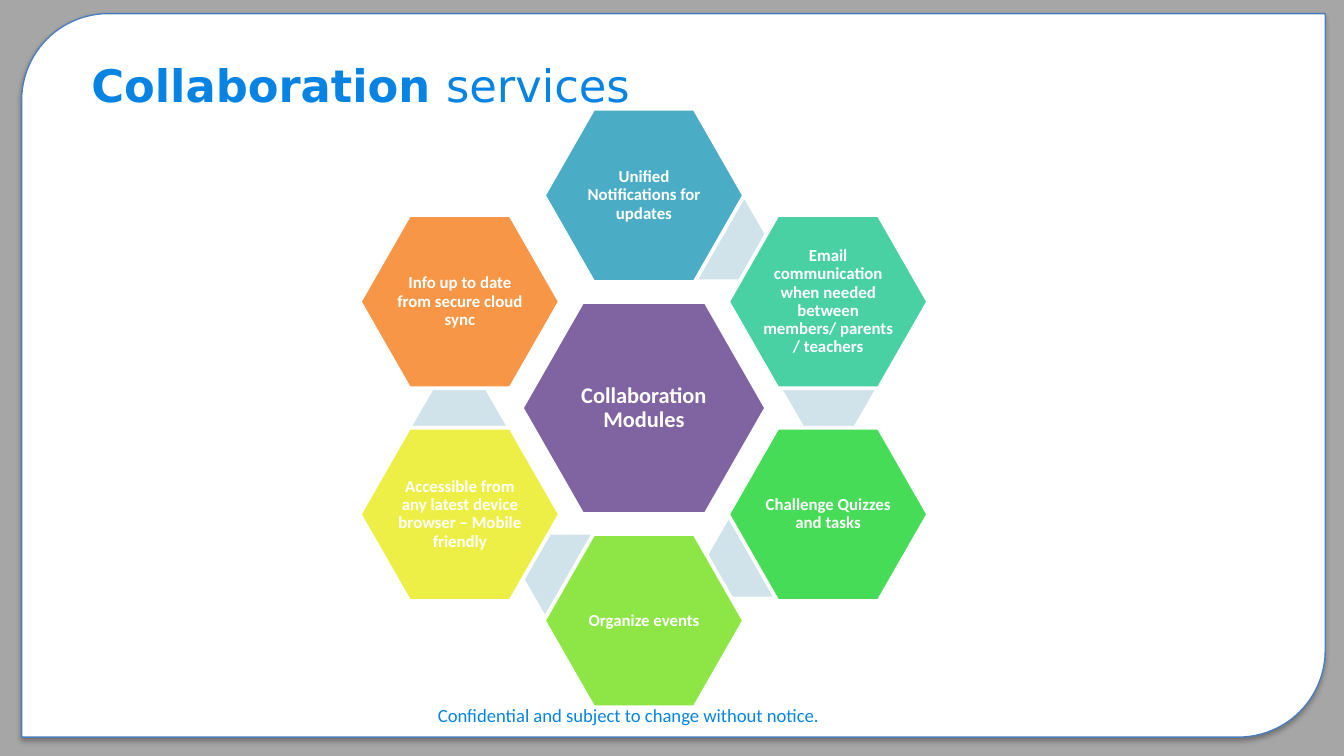
"""Builds the collaboration services slide with its ring of hexagons."""
from math import cos, radians, sin

from lxml.etree import SubElement
from pptx import Presentation
from pptx.dml.color import RGBColor
from pptx.enum.shapes import MSO_SHAPE
from pptx.enum.text import MSO_ANCHOR, PP_ALIGN
from pptx.oxml.ns import qn
from pptx.util import Pt

COLORS = {
    "backdrop": "A6A6A6", "white": "FFFFFF", "frame": "4B7EBC", "shadow": "000000",
    "accent": "0784E3", "link": "D0E3EA", "purple": "8064A2", "teal": "4BACC6",
    "mint": "49D1A3", "green": "47DC57", "lime": "8DE646", "yellow": "EEEF46",
    "orange": "F79646",
}


def rgb(color):
    return RGBColor.from_string(COLORS[color])


class Deck:
    body_font = "Calibri"
    title_font = "DejaVu Sans"

    def __init__(self, width, height):
        self.presentation = Presentation()
        self.presentation.slide_width = Pt(width)
        self.presentation.slide_height = Pt(height)
        self.slide = self.presentation.slides.add_slide(self.presentation.slide_layouts[6])
        fill = self.slide.background.fill
        fill.solid()
        fill.fore_color.rgb = rgb("backdrop")

    def shape(self, kind, left, top, width, height, fill, adjustment, line=None, weight=0):
        shape = self.slide.shapes.add_shape(kind, Pt(left), Pt(top), Pt(width), Pt(height))
        shape.shadow.inherit = False
        shape.adjustments[0] = adjustment
        shape.fill.solid()
        shape.fill.fore_color.rgb = rgb(fill)
        if line:
            shape.line.color.rgb = rgb(line)
            shape.line.width = Pt(weight)
        else:
            shape.line.fill.background()
        return shape

    def panel(self, left, top, width, height):
        panel = self.shape(MSO_SHAPE.ROUND_2_DIAG_RECTANGLE, left, top, width, height,
                           "white", 0.12, "frame", 0.75)
        effects = panel._element.spPr.find(qn("a:effectLst"))
        shadow = SubElement(effects, qn("a:outerShdw"), blurRad=str(Pt(3.1)),
                            dist=str(Pt(1.8)), dir="5400000", rotWithShape="0")
        tint = SubElement(shadow, qn("a:srgbClr"), val=COLORS["shadow"])
        SubElement(tint, qn("a:alpha"), val="35000")

    def run(self, paragraph, text, size, color, font, bold=False):
        run = paragraph.add_run()
        run.text = text
        run.font.size = Pt(size)
        run.font.name = font
        run.font.bold = bold
        run.font.color.rgb = rgb(color)

    def text(self, left, top, width, height, runs, size, font):
        box = self.slide.shapes.add_textbox(Pt(left), Pt(top), Pt(width), Pt(height))
        box.text_frame.word_wrap = True
        for words, bold in runs:
            self.run(box.text_frame.paragraphs[0], words, size, "accent", font, bold)

    def link(self, x, y):
        width, height = 49.7, 42.5
        self.shape(MSO_SHAPE.HEXAGON, x - width / 2, y - height / 2, width, height,
                   "link", 0.289)

    def module(self, x, y, width, height, fill, label, size, inset):
        module = self.shape(MSO_SHAPE.HEXAGON, x - width / 2, y - height / 2, width, height,
                            fill, 0.286, "white", 2)
        frame = module.text_frame
        frame.word_wrap = True
        frame.vertical_anchor = MSO_ANCHOR.MIDDLE
        frame.margin_left = frame.margin_right = Pt(inset)
        frame.margin_top = frame.margin_bottom = Pt(inset)
        paragraph = frame.paragraphs[0]
        paragraph.alignment = PP_ALIGN.CENTER
        paragraph.line_spacing = 0.9
        self.run(paragraph, label, size, "white", self.body_font, True)


CENTER_X, CENTER_Y, RADIUS = 345, 218.6, 113.9
MODULES = [
    ("Unified Notifications for updates", "teal", (41.4, -90.2)),
    ("Email communication when needed between members/ parents / teachers", "mint",
     (99, -10.2)),
    ("Challenge Quizzes and tasks", "green", (58.7, 79.8)),
    ("Organize events", "lime", (-40.6, 89.1)),
    ("Accessible from any latest device browser – Mobile friendly", "yellow", (-99, 9.2)),
    ("Info up to date from secure cloud sync", "orange", None),
]

deck = Deck(720, 405)
deck.panel(11.6, 7.3, 698.4, 387.6)
deck.text(227.5, 373.7, 223.2, 31.7,
          [("Confidential and subject to change without notice.", False)], 10, deck.body_font)
deck.text(41.8, 27.4, 461.5, 36,
          [("Collaboration ", True), ("services", False)], 24, deck.title_font)
deck.module(CENTER_X, CENTER_Y, 131, 113.6, "purple", "Collaboration Modules", 12, 1.4)
for index, (label, color, link_offset) in enumerate(MODULES):
    if link_offset:
        deck.link(CENTER_X + link_offset[0], CENTER_Y + link_offset[1])
    angle = radians(60 * index - 90)
    deck.module(CENTER_X + RADIUS * cos(angle), CENTER_Y + RADIUS * sin(angle),
                107.3, 92.9, color, label, 9, 0.9)
deck.presentation.save("out.pptx")
